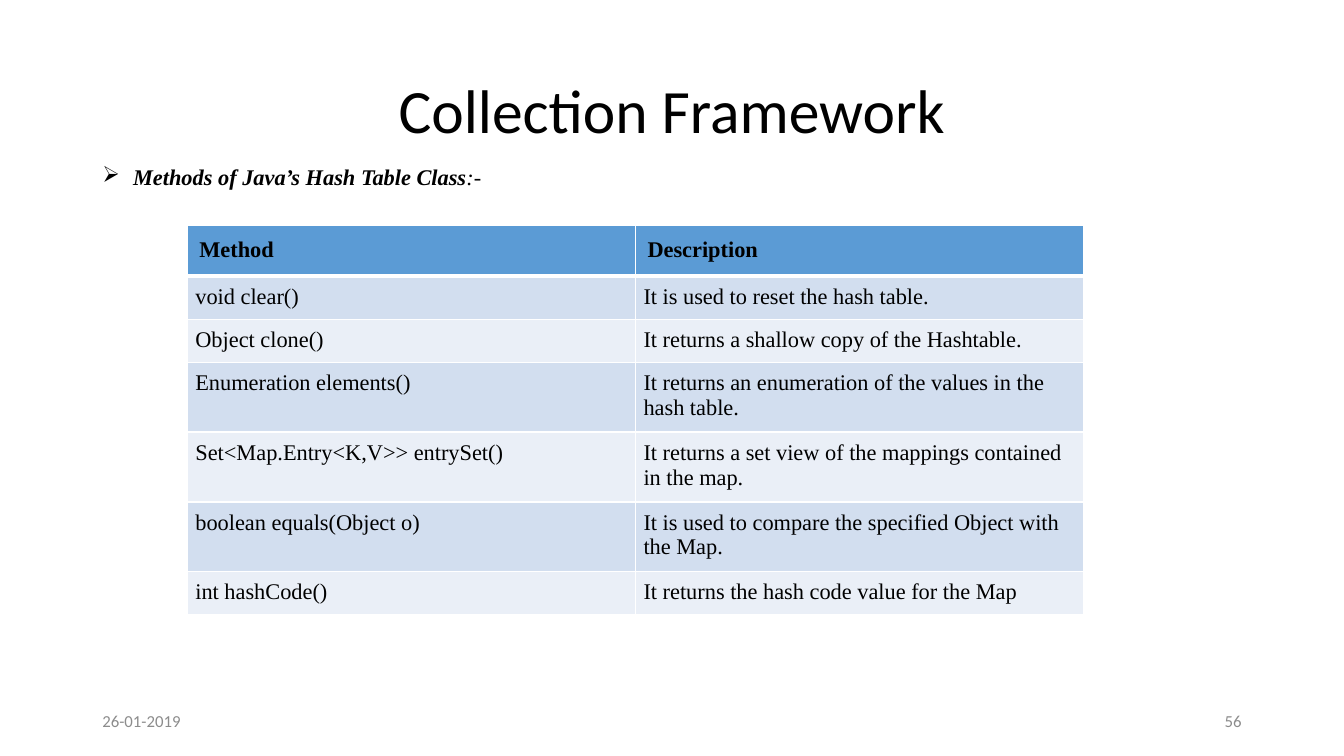
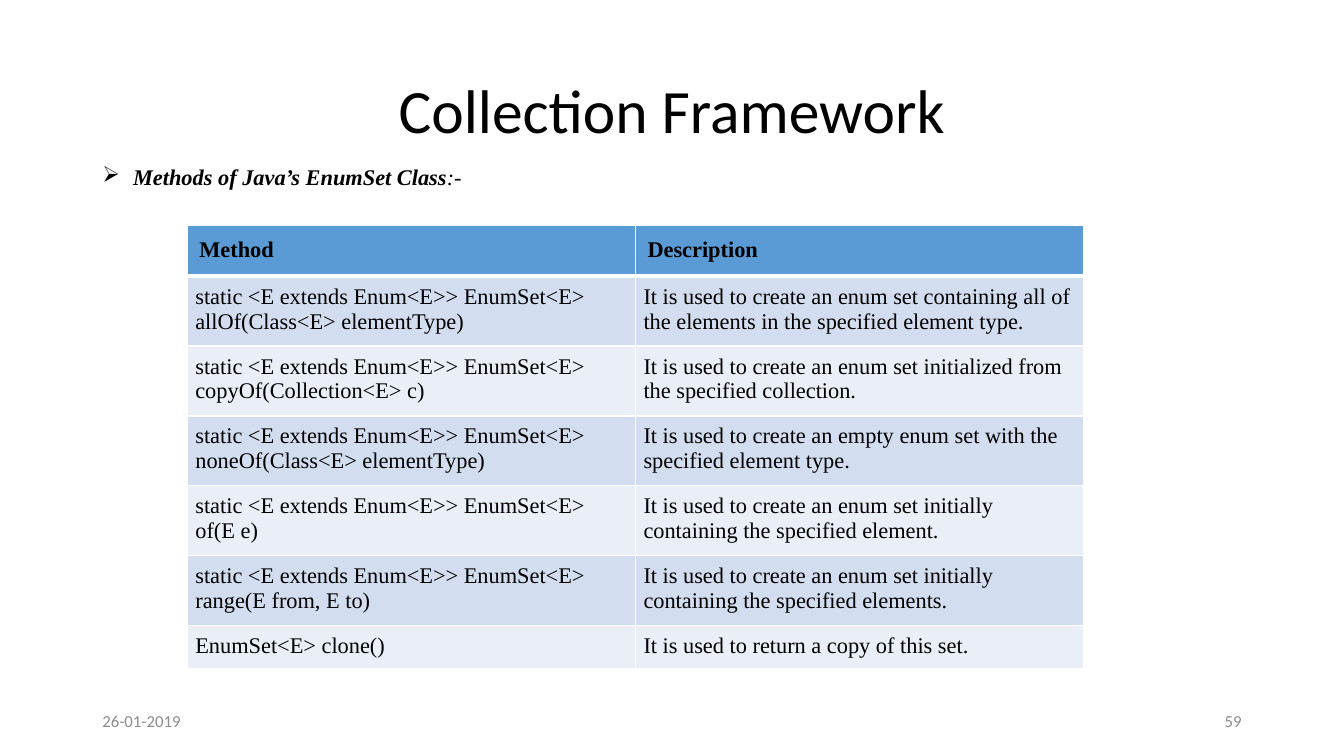
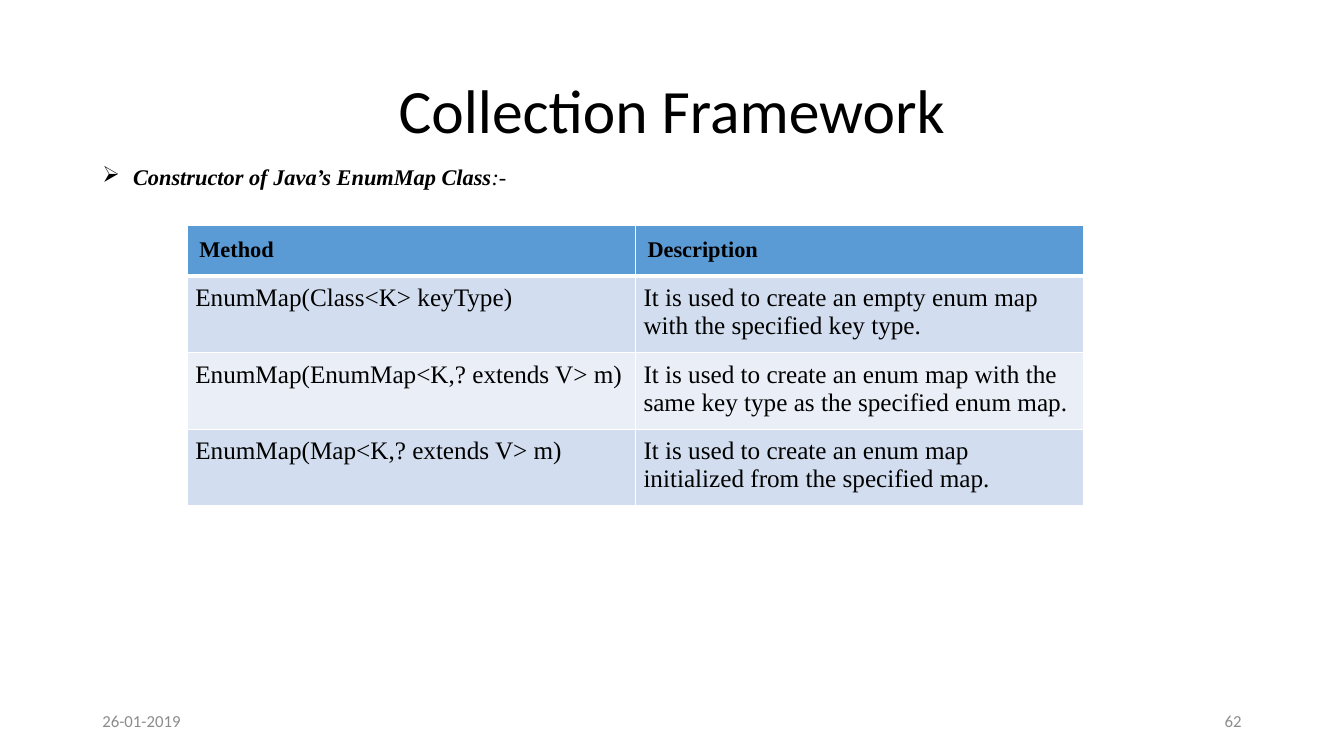
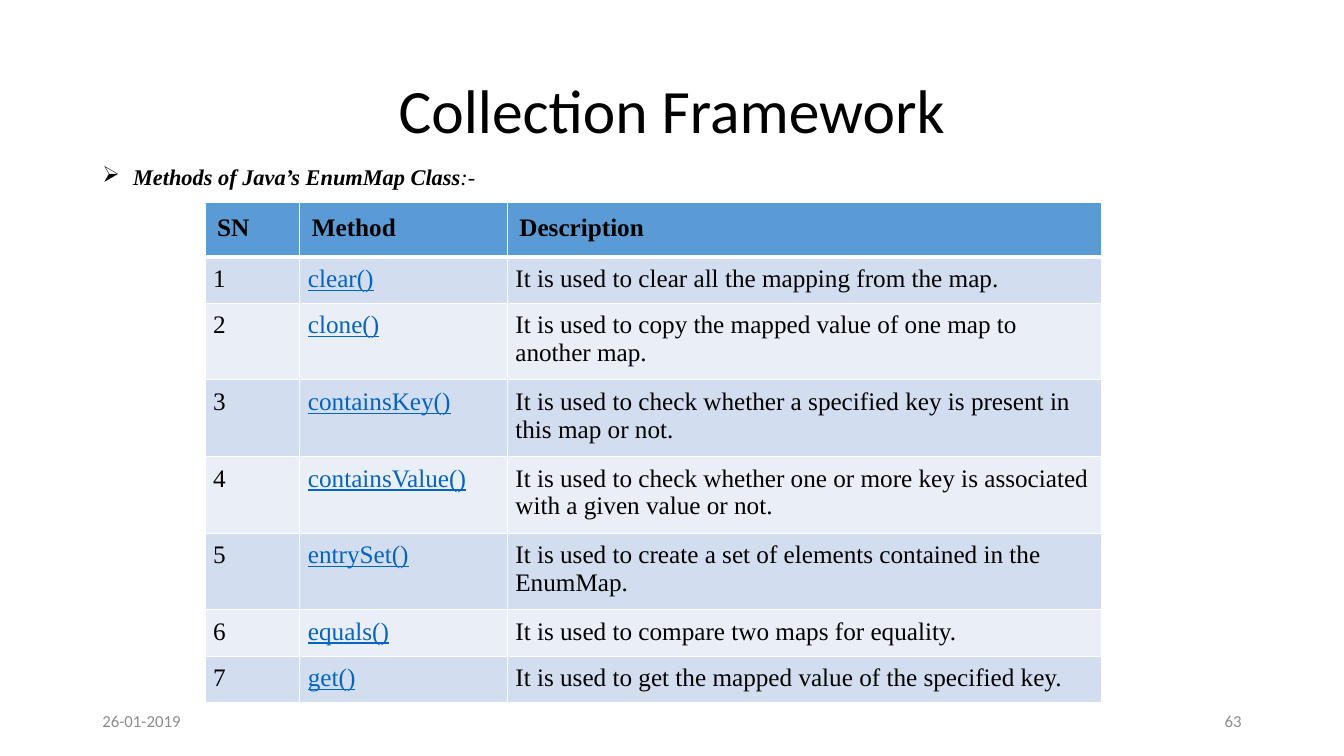
from dataclasses import dataclass

import pptx
import pptx.dml.color
import pptx.enum.text
import pptx.oxml
import pptx.oxml.ns
import pptx.util

PP_ALIGN = pptx.enum.text.PP_ALIGN
ANCHOR = pptx.enum.text.MSO_ANCHOR

# Grid: 160 columns by 90 rows cover the slide
COLUMNS, ROWS = 160, 90
SLIDE_WIDTH, SLIDE_HEIGHT = pptx.util.Inches(13.333), pptx.util.Inches(7.5)

# Shared colours and fonts
BLACK, WHITE, GREY, LINK = "000000", "FFFFFF", "8C8C8C", "0563C1"
HEADER_FILL = "5B9BD5"
BAND_FILLS = ("D2DEEF", "EAEFF7")
HEADING_FONT, BODY_FONT = "Calibri", "Times New Roman"
HEADER_INSET, BODY_INSET = 0.12, 0.08
THIN, THICK = 1, 3


@dataclass(frozen=True)
class Area:
    """A place on the slide, in grid columns and rows."""
    left: float
    top: float
    width: float
    height: float


@dataclass(frozen=True)
class MethodTable:
    header: tuple[str, ...]
    rows: tuple[tuple[str, ...], ...]
    widths: tuple[float, ...] = (53.35, 53.35)
    left: float = 22.3
    top: float = 26.8
    header_size: int = 16
    body_size: int = 16
    link_column: int = -1


@dataclass(frozen=True)
class Lesson:
    number: int
    topic: str
    methods: MethodTable


TITLE = Area(11, 4.8, 138, 17.4)
TOPIC = Area(11, 19.2, 138, 69)
DATE = Area(11, 83.4, 36, 4.8)
PAGE_NUMBER = Area(113, 83.4, 36, 4.8)
ROW_HEIGHT = 4.9


# Units and colours
def across(columns: float) -> int:
    return round(SLIDE_WIDTH * columns / COLUMNS)


def down(rows: float) -> int:
    return round(SLIDE_HEIGHT * rows / ROWS)


def colour(value: str) -> pptx.dml.color.RGBColor:
    return pptx.dml.color.RGBColor.from_string(value)


# Text
def write(paragraph, text: str, *, size: float, font: str = BODY_FONT,
          color: str = BLACK, bold: bool = False, italic: bool = False,
          underline: bool = False) -> None:
    run = paragraph.add_run()
    run.text = text
    run.font.size = pptx.util.Pt(size)
    run.font.name = font
    run.font.bold, run.font.italic, run.font.underline = bold, italic, underline
    run.font.color.rgb = colour(color)


def add_paragraph_box(slide, area: Area, anchor=ANCHOR.MIDDLE,
                      align=PP_ALIGN.LEFT, spacing: float = 1.0):
    """Place a wrapping text box and return its first paragraph."""
    frame = slide.shapes.add_textbox(across(area.left), down(area.top),
                                     across(area.width), down(area.height)).text_frame
    frame.word_wrap = True
    frame.vertical_anchor = anchor
    paragraph = frame.paragraphs[0]
    paragraph.alignment = align
    paragraph.line_spacing = spacing
    return paragraph


def add_bullet(paragraph, symbol: str, indent: float) -> None:
    properties = paragraph._p.get_or_add_pPr()
    hang = pptx.util.Inches(indent)
    properties.set("marL", str(hang))
    properties.set("indent", str(-hang))
    bullet = pptx.oxml.parse_xml(
        f'<a:buChar {pptx.oxml.ns.nsdecls("a")} char="{symbol}"/>')
    properties.append(bullet)


# Table
def set_borders(cell, top: float, bottom: float) -> None:
    widths = {"lnL": THIN, "lnR": THIN, "lnT": top, "lnB": bottom}
    properties = cell._tc.get_or_add_tcPr()
    for position, (edge, points) in enumerate(widths.items()):
        properties.insert(position, pptx.oxml.parse_xml(
            f'<a:{edge} {pptx.oxml.ns.nsdecls("a")} w="{pptx.util.Pt(points)}">'
            f'<a:solidFill><a:srgbClr val="{WHITE}"/></a:solidFill></a:{edge}>'))


def fill_cell(cell, text: str, fill: str, inset: float, **text_format) -> None:
    cell.fill.solid()
    cell.fill.fore_color.rgb = colour(fill)
    margin = pptx.util.Inches(inset)
    cell.margin_left = cell.margin_right = margin
    cell.margin_top = cell.margin_bottom = margin
    write(cell.text_frame.paragraphs[0], text, **text_format)


def add_methods(slide, methods: MethodTable) -> None:
    row_count = len(methods.rows) + 1
    grid = slide.shapes.add_table(
        row_count, len(methods.widths), across(methods.left), down(methods.top),
        across(sum(methods.widths)), down(ROW_HEIGHT * row_count)).table
    grid.horz_banding = False
    for column, width in zip(grid.columns, methods.widths):
        column.width = across(width)

    for c, label in enumerate(methods.header):
        fill_cell(grid.cell(0, c), label, HEADER_FILL, HEADER_INSET,
                  size=methods.header_size, bold=True)
        set_borders(grid.cell(0, c), THIN, THICK)

    for r, entry in enumerate(methods.rows, start=1):
        for c, text in enumerate(entry):
            linked = c == methods.link_column
            fill_cell(grid.cell(r, c), text, BAND_FILLS[(r - 1) % 2], BODY_INSET,
                      size=methods.body_size, underline=linked,
                      color=LINK if linked else BLACK)
            set_borders(grid.cell(r, c), THICK if r == 1 else THIN, THIN)


# Whole slide
def add_lesson(deck, lesson: Lesson) -> None:
    slide = deck.slides.add_slide(deck.slide_layouts[6])

    title = add_paragraph_box(slide, TITLE, align=PP_ALIGN.CENTER, spacing=0.9)
    write(title, "Collection Framework", size=44, font=HEADING_FONT)

    topic = add_paragraph_box(slide, TOPIC, anchor=ANCHOR.TOP, spacing=0.9)
    topic.space_before = pptx.util.Pt(10)
    add_bullet(topic, "➢", 0.25)
    write(topic, f" {lesson.topic}", size=16, bold=True, italic=True)
    write(topic, ":-", size=16, italic=True)

    for area, text, align in ((DATE, "26-01-2019", PP_ALIGN.LEFT),
                              (PAGE_NUMBER, str(lesson.number), PP_ALIGN.RIGHT)):
        footer = add_paragraph_box(slide, area, align=align)
        write(footer, text, size=12, font=HEADING_FONT, color=GREY)

    add_methods(slide, lesson.methods)


# Content
METHOD_HEADER = ("Method", "Description")
ENUM_SET = "static <E extends Enum<E>> EnumSet<E>"

LESSONS = (
    Lesson(56, "Methods of Java’s Hash Table Class", MethodTable(METHOD_HEADER, (
        ("void clear()", "It is used to reset the hash table."),
        ("Object clone()", "It returns a shallow copy of the Hashtable."),
        ("Enumeration\u00a0elements()",
         "It returns an enumeration of the values in the hash table."),
        ("Set<Map.Entry<K,V>> entrySet()",
         "It returns a set view of the mappings contained in the map."),
        ("boolean equals(Object o)",
         "It is used to compare the specified Object with the Map."),
        ("int hashCode()", "It returns the hash code value for the Map"),
    ))),
    Lesson(59, "Methods of Java’s EnumSet Class", MethodTable(METHOD_HEADER, (
        (f"{ENUM_SET} allOf(Class<E> elementType)",
         "It is used to create an enum set containing all of the elements "
         "in the specified element type."),
        (f"{ENUM_SET} copyOf(Collection<E> c)",
         "It is used to create an enum set initialized from the specified collection."),
        (f"{ENUM_SET} noneOf(Class<E> elementType)",
         "It is used to create an empty enum set with the specified element type."),
        (f"{ENUM_SET} of(E e)",
         "It is used to create an enum set initially containing the specified element."),
        (f"{ENUM_SET} range(E from, E to)",
         "It is used to create an enum set initially containing the specified elements."),
        ("EnumSet<E> clone()", "It is used to return a copy of this set."),
    ))),
    Lesson(62, "Constructor of Java’s EnumMap Class", MethodTable(METHOD_HEADER, (
        ("EnumMap(Class<K> keyType)",
         "It is used to create an empty enum map with the specified key type."),
        ("EnumMap(EnumMap<K,? extends V> m)",
         "It is used to create an enum map with the same key type as the "
         "specified enum map."),
        ("EnumMap(Map<K,? extends V> m)",
         "It is used to create an enum map initialized from the specified map."),
    ), body_size=18)),
    Lesson(63, "Methods of Java’s EnumMap Class", MethodTable(("SN", *METHOD_HEADER), (
        ("1", "clear()", "It is used to clear all the mapping from the map."),
        ("2", "clone()",
         "It is used to copy the mapped value of one map to another map."),
        ("3", "containsKey()",
         "It is used to check whether a specified key is present in this map or not."),
        ("4", "containsValue()",
         "It is used to check whether one or more key is associated with a "
         "given value or not."),
        ("5", "entrySet()",
         "It is used to create a set of elements contained in the EnumMap."),
        ("6", "equals()", "It is used to compare two maps for equality."),
        ("7", "get()", "It is used to get the mapped value of the specified key."),
    ), widths=(11.3, 24.7, 70.7), left=24.4, top=24.1,
        header_size=18, body_size=18, link_column=1)),
)


deck = pptx.Presentation()
deck.slide_width, deck.slide_height = SLIDE_WIDTH, SLIDE_HEIGHT
for lesson in LESSONS:
    add_lesson(deck, lesson)
deck.save("out.pptx")
